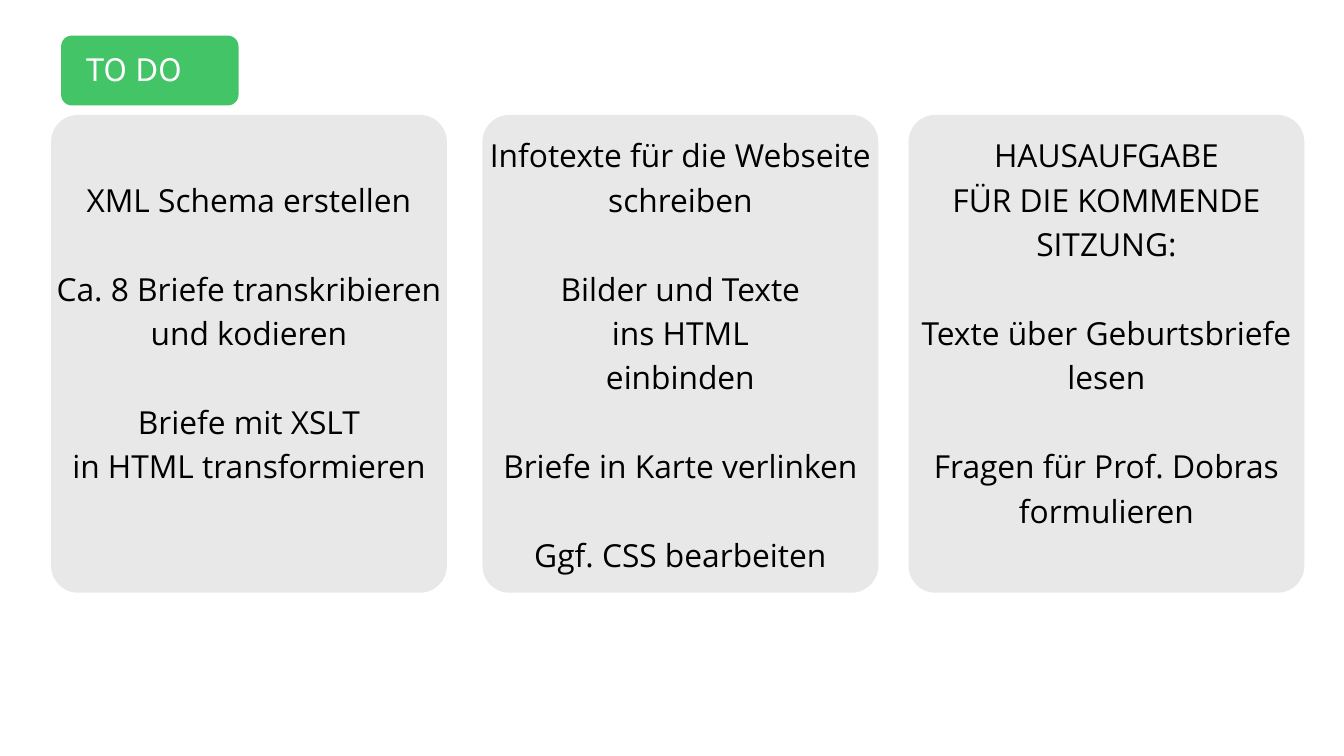
from lxml.etree import SubElement as Sub
from pptx import Presentation
from pptx.dml.color import RGBColor as Rgb
from pptx.enum.shapes import MSO_SHAPE as Shape
from pptx.enum.text import MSO_ANCHOR as Anchor, MSO_AUTO_SIZE as Auto, PP_ALIGN as Align
from pptx.oxml.ns import qn
from pptx.util import Inches, Pt

HUES = {"card": "E8E8E8", "tag": "43C466", "ink": "000000", "light": "FFFFFF"}
LEFTS = (0.76, 7.18, 13.52)
TOP, WIDE, HIGH = 1.71, 5.89, 7.11
TEXT, LINE = 1.93, 47.6
ROW = LINE / 72
FRAME = {"margin_left": 0, "margin_right": 0, "margin_top": 0, "margin_bottom": 0,
         "word_wrap": True, "auto_size": Auto.NONE, "vertical_anchor": Anchor.TOP}
TITLE = {"name": "Karla", "size": Pt(38.6), "bold": False}
BODY = {"name": "Open Sans", "size": Pt(34), "bold": False}
TASKS = (
    (1, (("XML Schema erstellen",),
         ("Ca. 8 Briefe transkribieren", "und kodieren"),
         ("Briefe mit XSLT", "in HTML transformieren"))),
    (0, (("Infotexte für die Webseite", "schreiben"),
         ("Bilder und Texte", "ins HTML", "einbinden"),
         ("Briefe in Karte verlinken",),
         ("Ggf. CSS bearbeiten",))),
    (0, (("HAUSAUFGABE", "FÜR DIE KOMMENDE", "SITZUNG:"),
         ("Texte über Geburtsbriefe", "lesen"),
         ("Fragen für Prof. Dobras", "formulieren"))),
)


def apply(item, vals):
    for key, val in vals.items():
        setattr(item, key, val)


def place(item, *box):
    apply(item, dict(zip(("left", "top", "width", "height"), map(Inches, box))))


def panel(slide, box, round_by, hue):
    item = slide.shapes.add_shape(Shape.ROUNDED_RECTANGLE, *map(Inches, box))
    item.adjustments[0] = round_by / min(box[2:])
    item.shadow.inherit = False
    item.fill.solid()
    item.fill.fore_color.rgb = Rgb.from_string(HUES[hue])
    item.line.fill.background()


def raise_up(item):
    item.element.getparent().append(item.element)


def style(para, text, font, hue):
    para.text = text
    apply(para.runs[0].font, font)
    para.runs[0].font.color.rgb = Rgb.from_string(HUES[hue])


def title(slide, text):
    item = slide.shapes.title
    place(item, 1.28, 0.79, 1.98, 0.58)
    apply(item.text_frame, FRAME)
    para = item.text_frame.paragraphs[0]
    apply(para, {"alignment": Align.LEFT, "line_spacing": Pt(38.6)})
    style(para, text, TITLE, "light")
    para.runs[0].font._element.set("spc", "-40")
    raise_up(item)


def tasks(item, left, skip, groups):
    rows = sum(map(len, groups)) + len(groups) - 1
    place(item, left, TEXT + skip * ROW, WIDE, rows * ROW)
    frame = item.text_frame
    apply(frame, FRAME)
    lines = [(text, g > 0 and n == 0) for g, group in enumerate(groups)
             for n, text in enumerate(group)]
    for n, (text, gap) in enumerate(lines):
        para = frame.add_paragraph() if n else frame.paragraphs[0]
        props = para._p.get_or_add_pPr()
        apply_to = {"marL": "0", "indent": "0"}
        for key, val in apply_to.items():
            props.set(key, val)
        Sub(props, qn("a:buNone"))
        apply(para, {"alignment": Align.CENTER, "line_spacing": Pt(LINE),
                     "space_before": Pt(LINE if gap else 0), "space_after": Pt(0)})
        style(para, text, BODY, "ink")
    raise_up(item)


def main():
    deck = Presentation()
    apply(deck, {"slide_width": Inches(20), "slide_height": Inches(11.25)})
    slide = deck.slides.add_slide(deck.slide_layouts[4])
    *bodies, spare = list(slide.placeholders)[1:5]
    spare.element.getparent().remove(spare.element)
    for left in LEFTS:
        panel(slide, (left, TOP, WIDE, HIGH), 0.4, "card")
    panel(slide, (0.91, 0.53, 2.64, 1.04), 0.16, "tag")
    title(slide, "TO DO")
    for body, left, (skip, groups) in zip(bodies, LEFTS, TASKS):
        tasks(body, left, skip, groups)
    deck.save("out.pptx")


if __name__ == "__main__":
    main()
